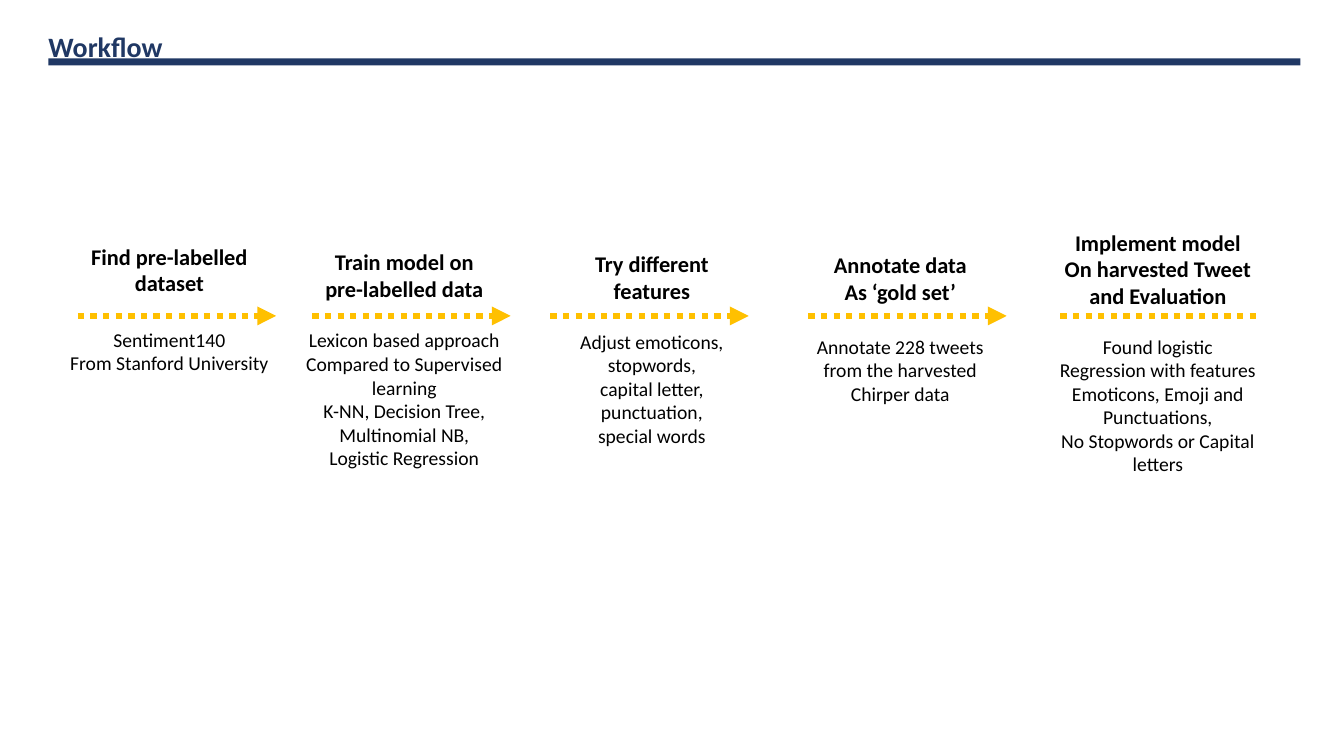
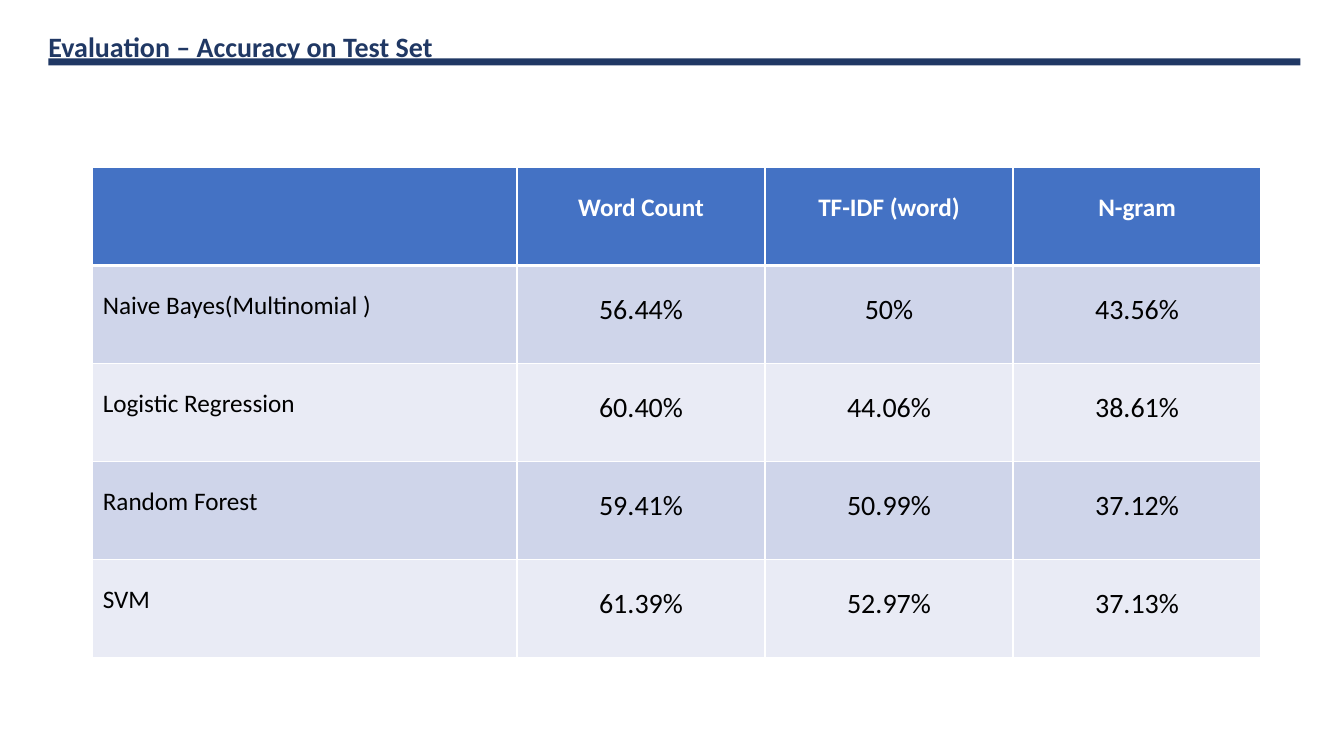
from lxml import etree
from pptx import Presentation
from pptx.dml.color import RGBColor
from pptx.enum.dml import MSO_LINE
from pptx.enum.shapes import MSO_CONNECTOR, MSO_SHAPE
from pptx.enum.text import PP_ALIGN
from pptx.oxml.ns import qn
from pptx.util import Cm, Pt

# Shared style
FONT = "Calibri"
NAVY, GOLD, BLUE = "203864", "FFC000", "4472C4"
BLACK, WHITE = "000000", "FFFFFF"
BANDS = ("CFD5EA", "E9EBF5")

# Workflow: centre and arrow start; boxes are (top, width, height), all in cm
STEPS = [
    dict(centre=4.27, arrow=1.96,
         label=["Find pre-labelled dataset"], label_box=(5.99, 4.98, 1.63),
         body=["Sentiment140", "From Stanford University"],
         body_box=(8.13, 5.61, 1.45)),
    dict(centre=10.19, arrow=7.87,
         label=["Train model on pre-labelled data"], label_box=(6.12, 4.98, 1.63),
         body=["Lexicon based approach", "Compared to Supervised learning",
               "K-NN, Decision Tree, Multinomial NB,", "Logistic Regression"],
         body_box=(8.15, 6.25, 3.84)),
    dict(centre=16.43, arrow=13.87,
         label=["Try different", "features"], label_box=(6.17, 4.98, 1.63),
         body=["Adjust emoticons,", "stopwords,", "capital letter,",
               "punctuation,", "special words"],
         body_box=(8.18, 6.25, 3.25)),
    dict(centre=22.69, arrow=20.37,
         label=["Annotate data", "As ‘gold set’"], label_box=(6.2, 6.12, 1.63),
         body=["Annotate 228 tweets", "from the harvested Chirper data"],
         body_box=(8.31, 5.82, 2.06)),
    dict(centre=29.18, arrow=26.72,
         label=["Implement model", "On harvested Tweet", "and Evaluation"],
         label_box=(5.64, 5.97, 2.31),
         body=["Found logistic", "Regression with features",
               "Emoticons, Emoji and Punctuations,",
               "No Stopwords or Capital letters"],
         body_box=(8.31, 6.25, 4.45)),
]
ARROW_Y, ARROW_LENGTH = 7.96, 5

# Accuracy table
ACCURACY = [
    ("", "Word Count", "TF-IDF (word)", "N-gram"),
    ("Naive Bayes(Multinomial )", "56.44%", "50%", "43.56%"),
    ("Logistic Regression", "60.40%", "44.06%", "38.61%"),
    ("Random Forest", "59.41%", "50.99%", "37.12%"),
    ("SVM", "61.39%", "52.97%", "37.13%"),
]
COL_WIDTHS = (10.69, 6.25, 6.25, 6.25)
ROW_HEIGHT = 2.47


def rgb(color):
    return RGBColor.from_string(color)


def style(p, size, color, bold=False, align=PP_ALIGN.LEFT):
    p.alignment = align
    p.font.name, p.font.size, p.font.bold = FONT, Pt(size), bold
    p.font.color.rgb = rgb(color)


def add_text(s, lines, left, top, width, height, size, color=BLACK,
             bold=False, align=PP_ALIGN.CENTER, wrap=True):
    tf = s.shapes.add_textbox(Cm(left), Cm(top), Cm(width), Cm(height)).text_frame
    tf.word_wrap = wrap
    for i, line in enumerate(lines):
        p = tf.add_paragraph() if i else tf.paragraphs[0]
        p.text = line
        style(p, size, color, bold, align)


def add_centred(s, lines, centre, box, size, bold=False):
    top, width, height = box
    add_text(s, lines, centre - width / 2, top, width, height, size, bold=bold)


def add_titled_slide(prs, title):
    s = prs.slides.add_slide(prs.slide_layouts[6])
    add_text(s, [title], 0.97, 0.61, 17, 0.86, 20, NAVY, True, PP_ALIGN.LEFT, False)
    sp = s.shapes.add_shape(MSO_SHAPE.RECTANGLE, Cm(1.22), Cm(1.47), Cm(31.55), Cm(0.18))
    sp.shadow.inherit = False
    sp.fill.solid()
    sp.fill.fore_color.rgb = rgb(NAVY)
    sp.line.fill.background()
    return s


def add_dotted_line(s, x, y, length, head):
    cx = s.shapes.add_connector(MSO_CONNECTOR.STRAIGHT, Cm(x), Cm(y), Cm(x + length), Cm(y))
    cx.line.color.rgb = rgb(GOLD)
    cx.line.width = Pt(4.5)
    cx.line.dash_style = MSO_LINE.ROUND_DOT
    if head:
        etree.SubElement(cx.line._get_or_add_ln(), qn("a:tailEnd"), type="triangle")
    etree.SubElement(cx._element.spPr, qn("a:effectLst"))


def set_borders(cell, color, widths):
    tcPr = cell._tc.get_or_add_tcPr()
    for i, (side, width) in enumerate(widths.items()):
        ln = etree.Element(qn(f"a:ln{side}"), w=str(Pt(width)))
        fill = etree.SubElement(ln, qn("a:solidFill"))
        etree.SubElement(fill, qn("a:srgbClr"), val=color)
        tcPr.insert(i, ln)


def build_workflow(prs):
    s = add_titled_slide(prs, "Workflow")
    for step in STEPS:
        add_dotted_line(s, step["arrow"], ARROW_Y, ARROW_LENGTH, step is not STEPS[-1])
        add_centred(s, step["label"], step["centre"], step["label_box"], 16, True)
        add_centred(s, step["body"], step["centre"], step["body_box"], 14)


def build_accuracy(prs):
    s = add_titled_slide(prs, "Evaluation – Accuracy on Test Set")
    rows, cols = len(ACCURACY), len(COL_WIDTHS)
    table = s.shapes.add_table(rows, cols, Cm(2.34), Cm(4.22), Cm(sum(COL_WIDTHS)),
                               Cm(rows * ROW_HEIGHT)).table
    for col, width in zip(table.columns, COL_WIDTHS):
        col.width = Cm(width)
    for r, values in enumerate(ACCURACY):
        table.rows[r].height = Cm(ROW_HEIGHT)
        for c, value in enumerate(values):
            header, name = r == 0, c == 0
            cell = table.cell(r, c)
            cell.margin_left = cell.margin_right = Cm(0.25)
            cell.margin_top = cell.margin_bottom = Cm(0.25)
            cell.fill.solid()
            cell.fill.fore_color.rgb = rgb(BLUE if header else BANDS[(r - 1) % 2])
            set_borders(cell, WHITE, {"L": 1, "R": 1, "T": 3 if r == 1 else 1,
                                      "B": 3 if header else 1})
            p = cell.text_frame.paragraphs[0]
            p.text = value
            p.line_spacing = 1.5
            style(p, 18 if header or name else 20, WHITE if header else BLACK,
                  header, PP_ALIGN.LEFT if name else PP_ALIGN.CENTER)


def main():
    prs = Presentation()
    prs.slide_width, prs.slide_height = Cm(33.87), Cm(19.05)
    build_workflow(prs)
    build_accuracy(prs)
    prs.save("out.pptx")


if __name__ == "__main__":
    main()
